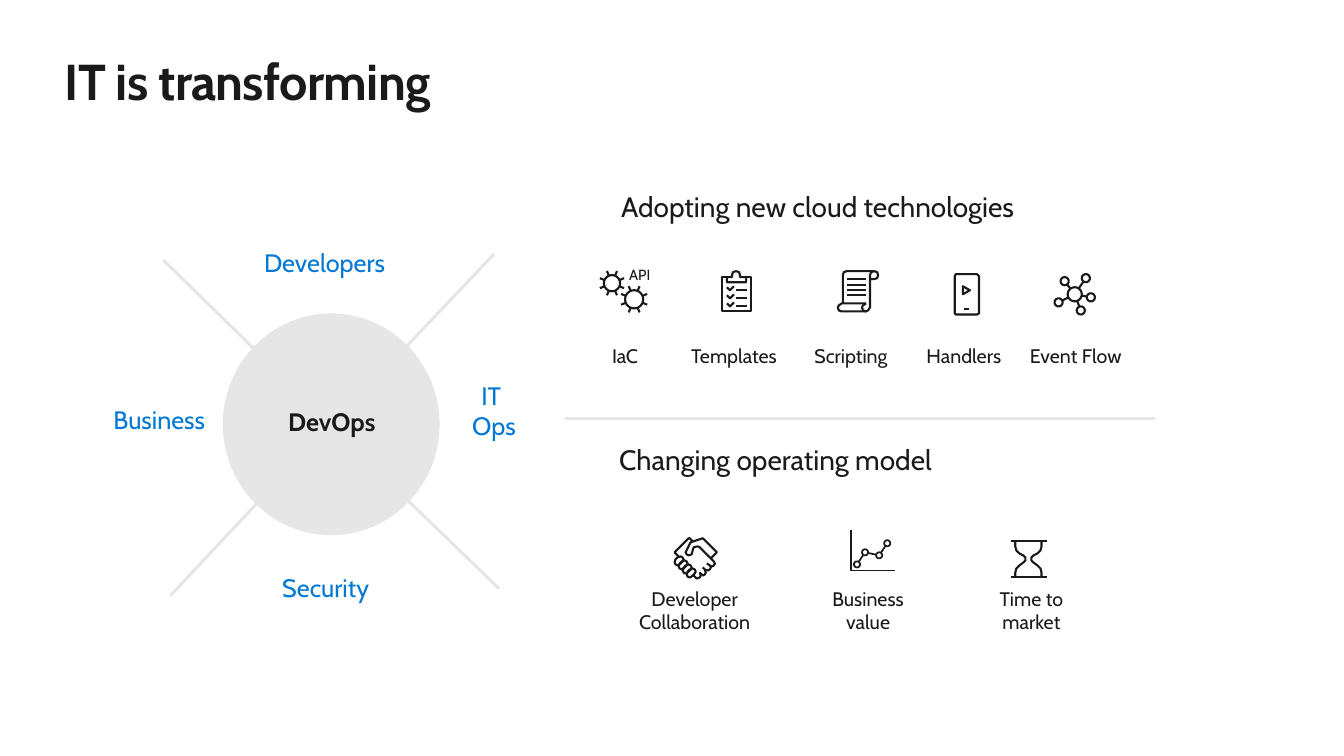
from math import cos, dist, pi, sin
from lxml.etree import SubElement
from pptx import Presentation
from pptx.dml.color import RGBColor
from pptx.enum.shapes import MSO_CONNECTOR, MSO_SHAPE
from pptx.enum.text import PP_ALIGN
from pptx.oxml.ns import qn
from pptx.util import Inches, Pt


class Theme:
    font = "Cabin"
    ink = RGBColor.from_string("1A1A1A")
    blue = RGBColor.from_string("0078D4")
    gray = RGBColor.from_string("E6E6E6")
    title, head, role, label, tiny = 36, 20, 18, 14, 10.5
    rule, icon, thin = 2.25, 1.5, 1.25


deck = Presentation()
deck.slide_width, deck.slide_height = Inches(13.33), Inches(7.5)
slide = deck.slides.add_slide(deck.slide_layouts[6])
shapes = slide.shapes


def write(words, x, y, w, h, size, color=Theme.ink, bold=False,
          align=PP_ALIGN.CENTER):
    """Set words in a box without margins."""
    box = shapes.add_textbox(Inches(x), Inches(y), Inches(w), Inches(h))
    frame = box.text_frame
    frame.margin_left = frame.margin_right = 0
    frame.margin_top = frame.margin_bottom = 0
    frame.word_wrap = True
    para = frame.paragraphs[0]
    para.text = words
    para.alignment = align
    for run in para.runs:
        font = run.font
        font.name, font.size, font.bold = Theme.font, Pt(size), bold
        font.color.rgb = color
    return para


def draw(strokes, rings=(), links=(), width=Theme.icon):
    """Draw one outline icon; links join the edges of two rings."""
    paths = list(strokes)
    for x, y, r in rings:
        turns = [2 * pi * i / 24 for i in range(25)]
        paths.append([(x + r * cos(a), y + r * sin(a)) for a in turns])
    for (x1, y1, r1), (x2, y2, r2) in links:
        gap = dist((x1, y1), (x2, y2))
        dx, dy = (x2 - x1) / gap, (y2 - y1) / gap
        paths.append([(x1 + r1 * dx, y1 + r1 * dy),
                      (x2 - r2 * dx, y2 - r2 * dy)])
    pen = None
    for path in paths:
        dots = [(Inches(x), Inches(y)) for x, y in path]
        if pen is None:
            pen = shapes.build_freeform(*dots[0], scale=1.0)
        else:
            pen.move_to(*dots[0])
        pen.add_line_segments(dots[1:], close=False)
    icon = pen.convert_to_shape()
    icon.shadow.inherit = False
    icon.fill.background()
    icon.line.color.rgb = Theme.ink
    icon.line.width = Pt(width)


# Title and headings
title = write("IT is transforming", 0.64, 0.5, 12.05, 0.61, Theme.title,
              bold=True, align=PP_ALIGN.LEFT)
title.runs[0]._r.get_or_add_rPr().set("spc", "-50")
write("Adopting new cloud technologies", 6.16, 1.88, 4.91, 0.34, Theme.head,
      align=PP_ALIGN.LEFT)
write("Changing operating model", 6.14, 4.39, 5.18, 0.34, Theme.head,
      align=PP_ALIGN.LEFT)

# Divider and spokes of the wheel
for x1, y1, x2, y2 in [
    (5.6, 4.15, 11.46, 4.15),
    (4.01, 3.46, 4.9, 2.52),
    (4.05, 4.97, 4.95, 5.84),
    (1.62, 2.58, 2.54, 3.48),
    (1.69, 5.91, 2.57, 4.97),
]:
    rule = shapes.add_connector(MSO_CONNECTOR.STRAIGHT, Inches(x1), Inches(y1),
                                Inches(x2), Inches(y2))
    rule.line.color.rgb = Theme.gray
    rule.line.width = Pt(Theme.rule)
    SubElement(rule._element.spPr, qn("a:effectLst"))

# Hub and roles
hub = shapes.add_shape(MSO_SHAPE.OVAL, Inches(2.21), Inches(3.11),
                       Inches(2.15), Inches(2.2))
hub.shadow.inherit = False
hub.fill.solid()
hub.fill.fore_color.rgb = Theme.gray
hub.line.fill.background()
write("DevOps", 2.73, 4.03, 1.12, 0.3, Theme.role, bold=True)
for role, mid, y, h in [
    ("Developers", 3.22, 2.45, 0.3),
    ("Security", 3.23, 5.68, 0.3),
    ("Business", 1.58, 4.01, 0.3),
    ("IT \nOps", 4.9, 3.77, 0.61),
]:
    write(role, mid - 0.7, y, 1.4, h, Theme.role, Theme.blue)

# Labels under the icons
for name, mid in [("IaC", 6.2), ("Templates", 7.28), ("Scripting", 8.44),
                  ("Handlers", 9.56), ("Event Flow", 10.67)]:
    write(name, mid - 0.55, 3.41, 1.1, 0.24, Theme.label)
for name, mid in [("Developer\nCollaboration", 6.89),
                  ("Business\nvalue", 8.61), ("Time to\nmarket", 10.23)]:
    write(name, mid - 0.61, 5.82, 1.22, 0.47, Theme.label)

# Gears
gears = [(6.07, 2.81, 0.08), (6.29, 2.97, 0.09)]
teeth = []
for x, y, r in gears:
    for i in range(8):
        a = pi * (2 * i + 1) / 8
        teeth.append([(x + k * cos(a), y + k * sin(a)) for k in (r, r + 0.05)])
draw(teeth, gears)
write("API", 6.19, 2.64, 0.31, 0.18, Theme.tiny)

# Clipboard
board = [
    [(7.21, 2.75), (7.16, 2.75), (7.16, 3.09), (7.45, 3.09), (7.45, 2.75),
     (7.4, 2.75)],
    [(7.26, 2.75), (7.26, 2.73), (7.27, 2.7), (7.3, 2.69), (7.33, 2.7),
     (7.34, 2.73), (7.34, 2.75), (7.4, 2.75), (7.4, 2.8), (7.21, 2.8),
     (7.21, 2.75), (7.26, 2.75)],
]
for y in (2.88, 2.96, 3.04):
    board.append([(7.41, y), (7.3, y)])
    board.append([(7.21, y - 0.03), (7.24, y), (7.28, y - 0.04)])
draw(board)

# Scroll
scroll = [
    [(8.59, 3.01), (8.56, 3.03), (8.55, 3.05), (8.56, 3.08), (8.59, 3.09),
     (8.61, 3.08), (8.63, 3.05), (8.63, 2.73), (8.64, 2.7), (8.67, 2.69),
     (8.7, 2.7), (8.71, 2.73), (8.7, 2.76), (8.67, 2.77), (8.63, 2.77)],
    [(8.59, 3.01), (8.35, 3.01), (8.32, 3.03), (8.31, 3.05), (8.32, 3.08),
     (8.35, 3.09), (8.59, 3.09)],
    [(8.67, 2.69), (8.4, 2.69), (8.37, 2.7), (8.36, 2.73), (8.36, 3.01)],
]
scroll += [[(8.4, y), (8.59, y)] for y in (2.77, 2.83, 2.88, 2.93)]
draw(scroll)

# Phone
draw([
    [(9.48, 2.72), (9.69, 2.72), (9.71, 2.74), (9.71, 3.11), (9.69, 3.12),
     (9.48, 3.12), (9.47, 3.11), (9.47, 2.74), (9.48, 2.72)],
    [(9.56, 3.07), (9.61, 3.07)],
    [(9.62, 2.88), (9.55, 2.84), (9.55, 2.92), (9.62, 2.88)],
])

# Event network
core = (10.66, 2.92, 0.07)
nodes = [(x, y, 0.04) for x, y in [(10.77, 2.76), (10.56, 2.79), (10.5, 3),
                                   (10.72, 3.08), (10.82, 2.95)]]
draw([], [core] + nodes, [(core, node) for node in nodes])

# Handshake
shake = [
    [(6.73, 5.52), (6.69, 5.48), (6.83, 5.34), (6.84, 5.34), (6.87, 5.37)],
    [(7.05, 5.54), (7.11, 5.48), (6.97, 5.34), (6.85, 5.38), (6.81, 5.46),
     (6.8, 5.48), (6.81, 5.5), (6.83, 5.51), (6.86, 5.5), (6.87, 5.46),
     (6.88, 5.43), (6.92, 5.42), (6.94, 5.43), (7.08, 5.57), (7.09, 5.59),
     (7.08, 5.61), (7.06, 5.62), (7.04, 5.61), (7.01, 5.59)],
    [(7.04, 5.61), (7.05, 5.63), (7.04, 5.65), (7.02, 5.66), (6.99, 5.65),
     (6.97, 5.63)],
    [(6.99, 5.65), (7, 5.68), (6.99, 5.7), (6.97, 5.71), (6.94, 5.68)],
    [(6.94, 5.68), (6.95, 5.71), (6.94, 5.73), (6.91, 5.74), (6.88, 5.71)],
]
finger = [(6.72, 5.53), (6.7, 5.55), (6.69, 5.58), (6.7, 5.6), (6.72, 5.61),
          (6.74, 5.6), (6.77, 5.57), (6.78, 5.55), (6.77, 5.53), (6.75, 5.52),
          (6.72, 5.53)]
shake += [[(x + 0.04 * i, y + 0.04 * i) for x, y in finger] for i in range(4)]
draw(shake)

# Line chart icon
marks = [(x, y, 0.03) for x, y in [(8.5, 5.6), (8.58, 5.48), (8.72, 5.51),
                                   (8.8, 5.39)]]
draw([[(8.88, 5.66), (8.44, 5.66), (8.44, 5.26)]], marks,
     zip(marks, marks[1:]), Theme.thin)

# Hourglass, mirrored about its axis
curve = [(0.13, 5.37), (0.13, 5.42), (0.12, 5.46), (0.09, 5.49), (0.05, 5.51),
         (0.03, 5.53), (0.03, 5.56), (0.05, 5.58), (0.09, 5.61), (0.12, 5.64),
         (0.13, 5.68), (0.13, 5.72)]
glass = [[(10.03, y), (10.38, y)] for y in (5.37, 5.72)]
glass += [[(10.2 + side * x, y) for x, y in curve] for side in (-1, 1)]
draw(glass)

deck.save("out.pptx")
